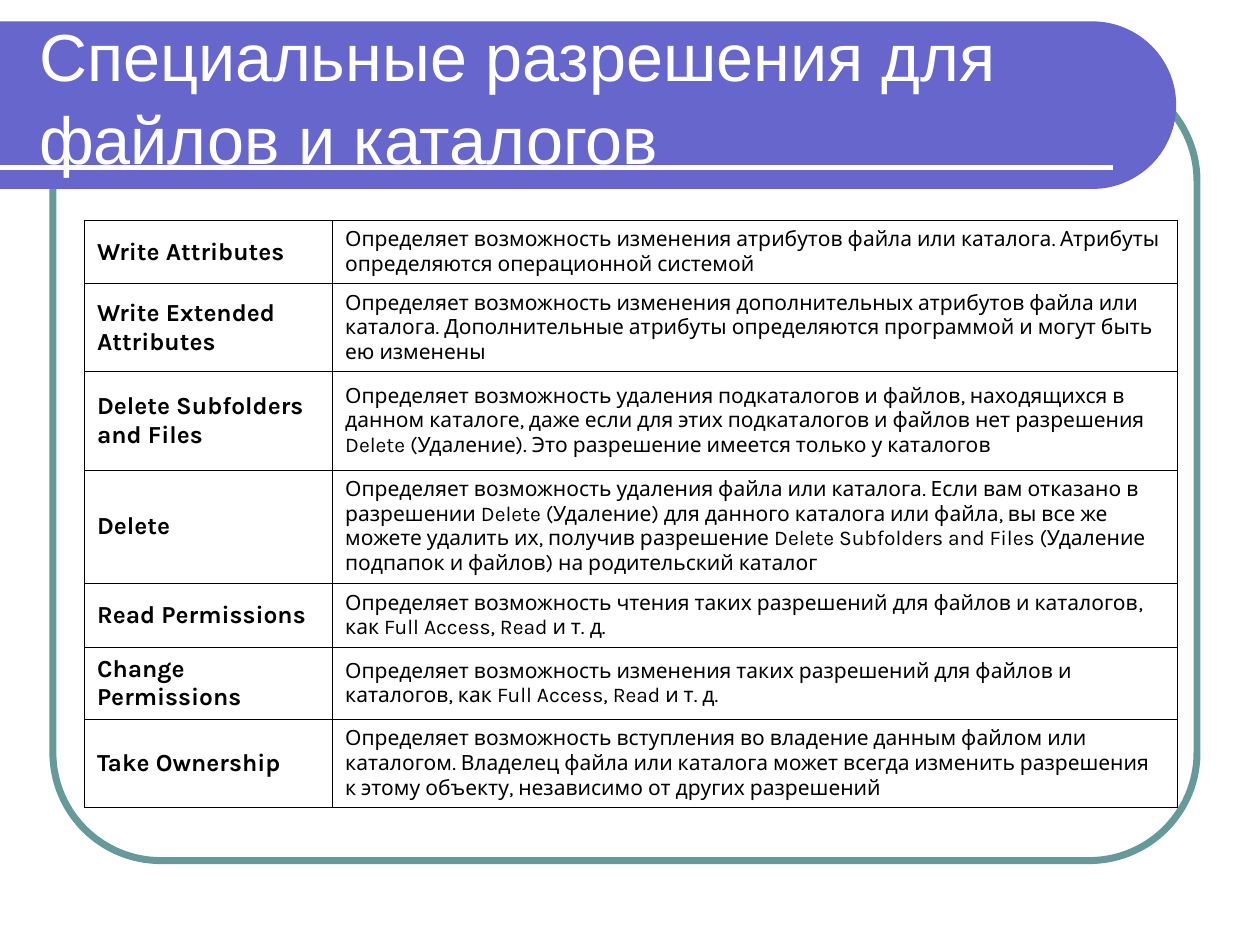
from dataclasses import dataclass
from math import cos, pi, sin

from lxml import etree
from pptx import Presentation
from pptx.dml.color import RGBColor
from pptx.enum.shapes import MSO_CONNECTOR, MSO_SHAPE
from pptx.enum.text import MSO_ANCHOR, PP_ALIGN
from pptx.oxml.ns import qn
from pptx.util import Inches, Pt

MIDDLE = MSO_ANCHOR.MIDDLE
LEFT = PP_ALIGN.LEFT
ROUND = MSO_SHAPE.ROUNDED_RECTANGLE
STRAIGHT = MSO_CONNECTOR.STRAIGHT


@dataclass(frozen=True)
class Theme:
    teal: RGBColor = RGBColor(0x66, 0x99, 0x99)
    violet: RGBColor = RGBColor(0x66, 0x66, 0xCC)
    white: RGBColor = RGBColor(0xFF, 0xFF, 0xFF)
    black: RGBColor = RGBColor(0, 0, 0)
    head: str = "Arial"
    body: str = "Karla"
    title: Pt = Pt(38)
    name: Pt = Pt(14)
    note: Pt = Pt(12)
    rule: Pt = Pt(0.34)


@dataclass(frozen=True)
class Right:
    name: str
    note: str
    height: float


THEME = Theme()
TITLE = "Специальные разрешения для файлов и каталогов"
COLS = (1.97, 6.7)
RIGHTS = (
    Right("Write Attributes",
          "Определяет возможность изменения атрибутов файла или каталога. "
          "Атрибуты определяются операционной системой", 0.5),
    Right("Write Extended Attributes",
          "Определяет возможность изменения дополнительных атрибутов файла "
          "или каталога. Дополнительные атрибуты определяются программой "
          "и могут быть ею изменены", 0.7),
    Right("Delete Subfolders and Files",
          "Определяет возможность удаления подкаталогов и файлов, находящихся "
          "в данном каталоге, даже если для этих подкаталогов и файлов нет "
          "разрешения Delete (Удаление). Это разрешение имеется только "
          "у каталогов", 0.78),
    Right("Delete",
          "Определяет возможность удаления файла или каталога. Если вам "
          "отказано в разрешении Delete (Удаление) для данного каталога или "
          "файла, вы все же можете удалить их, получив разрешение Delete "
          "Subfolders and Files (Удаление подпапок и файлов) на родительский "
          "каталог", 0.9),
    Right("Read Permissions",
          "Определяет возможность чтения таких разрешений для файлов "
          "и каталогов, как Full Access, Read и т. д.", 0.51),
    Right("Change Permissions",
          "Определяет возможность изменения таких разрешений для файлов "
          "и каталогов, как Full Access, Read и т. д.", 0.57),
    Right("Take Ownership",
          "Определяет возможность вступления во владение данным файлом или "
          "каталогом. Владелец файла или каталога может всегда изменить "
          "разрешения к этому объекту, независимо от других разрешений", 0.7),
)


def draw_frame(slide) -> None:
    frame = slide.shapes.add_shape(
        ROUND, Inches(0.42), Inches(0.58), Inches(9.08), Inches(6.25))
    frame.adjustments[0] = 0.137
    frame.shadow.inherit = False
    frame.fill.background()
    frame.line.color.rgb = THEME.teal
    frame.line.width = Pt(4)


def draw_banner(slide) -> None:
    """Band from the left edge that ends in a half circle."""
    top, low, turn, steps = 0.17, 1.5, 8.67, 60
    mid, radius = (top + low) / 2, (low - top) / 2
    angles = [pi * i / steps - pi / 2 for i in range(steps + 1)]
    arc = [(turn + radius * cos(a), mid + radius * sin(a)) for a in angles]
    path = slide.shapes.build_freeform(0, Inches(top))
    path.add_line_segments(
        [(Inches(x), Inches(y)) for x, y in arc + [(0, low)]], close=True)
    band = path.convert_to_shape()
    band.shadow.inherit = False
    band.fill.solid()
    band.fill.fore_color.rgb = THEME.violet
    band.line.fill.background()


def draw_rule(slide) -> None:
    rule = slide.shapes.add_connector(
        STRAIGHT, 0, Inches(1.33), Inches(8.83), Inches(1.33))
    rule.line.color.rgb = THEME.white
    rule.line.width = Pt(3)
    etree.SubElement(rule._element.spPr, qn("a:effectLst"))


def set_title(slide) -> None:
    title = slide.shapes.title
    title.left, title.top = Inches(0.21), Inches(0.25)
    title.width, title.height = Inches(8.77), Inches(1)
    frame = title.text_frame
    frame.text = TITLE
    frame.word_wrap = True
    frame.vertical_anchor = MIDDLE
    para = frame.paragraphs[0]
    para.alignment = LEFT
    para.line_spacing = 1.05
    para.font.name = THEME.head
    para.font.size = THEME.title
    para.font.color.rgb = THEME.white
    # Bring the title in front of the banner
    slide.shapes._spTree.append(title._element)


def add_edges(cell) -> None:
    props = cell._tc.get_or_add_tcPr()
    for i, side in enumerate(("lnL", "lnR", "lnT", "lnB")):
        edge = etree.Element(qn(f"a:{side}"), w=str(int(THEME.rule)))
        fill = etree.SubElement(edge, qn("a:solidFill"))
        etree.SubElement(fill, qn("a:srgbClr"), val=str(THEME.black))
        props.insert(i, edge)


def fill_cell(cell, text: str, size: Pt, bold: bool) -> None:
    cell.text = text
    cell.vertical_anchor = MIDDLE
    cell.fill.background()
    font = cell.text_frame.paragraphs[0].font
    font.name, font.size, font.bold = THEME.body, size, bold
    font.color.rgb = THEME.black
    add_edges(cell)


def draw_table(slide) -> None:
    total = sum(right.height for right in RIGHTS)
    table = slide.shapes.add_table(
        len(RIGHTS), len(COLS), Inches(0.67), Inches(1.75),
        Inches(sum(COLS)), Inches(total)).table
    table.first_row = table.horz_banding = False
    for col, width in zip(table.columns, COLS):
        col.width = Inches(width)
    for row, right in zip(table.rows, RIGHTS):
        row.height = Inches(right.height)
        fill_cell(row.cells[0], right.name, THEME.name, True)
        fill_cell(row.cells[1], right.note, THEME.note, False)


def main() -> None:
    deck = Presentation()
    deck.slide_width, deck.slide_height = Inches(10), Inches(7.5)
    slide = deck.slides.add_slide(deck.slide_layouts[5])
    # Backdrop
    draw_frame(slide)
    draw_banner(slide)
    draw_rule(slide)
    # Content
    set_title(slide)
    draw_table(slide)
    deck.save("out.pptx")


if __name__ == "__main__":
    main()
